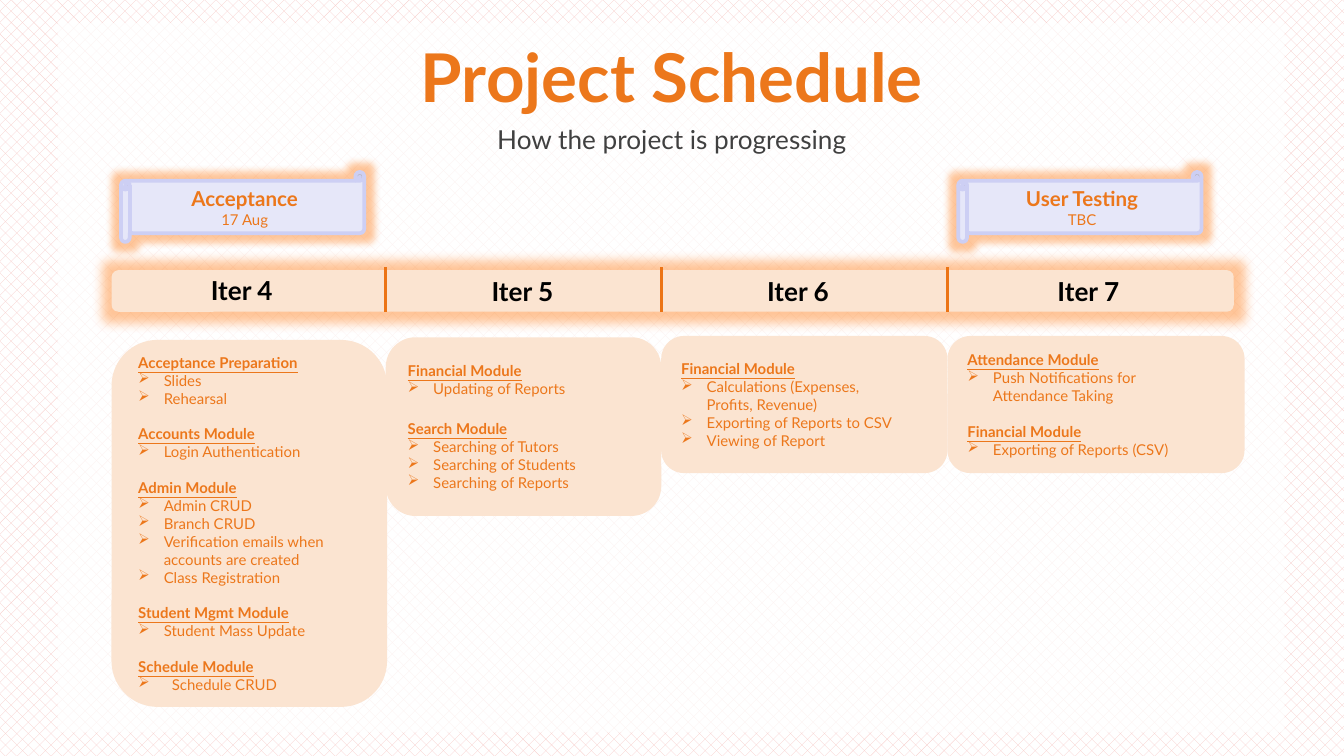
from dataclasses import dataclass

from lxml import etree
from pptx import Presentation
from pptx import util as u
from pptx.dml.color import RGBColor
from pptx.enum import dml, shapes, text
from pptx.oxml.ns import qn


@dataclass(frozen=True)
class Theme:
    font: str = "Lato"
    orange: str = "EC771B"
    divider: str = "EC7415"
    peach: str = "FBE4D1"
    glow: str = "FF7000"
    lilac: str = "E6E7F9"
    lilac_edge: str = "CDCFF4"
    grey: str = "404040"
    black: str = "000000"
    white: str = "FFFFFF"
    pattern: str = "DF2619"
    title_size: float = 36
    label_size: float = 14
    milestone_size: float = 11
    body_size: float = 8


@dataclass(frozen=True)
class Box:
    left: float
    top: float
    width: float
    height: float

    def lengths(self):
        return [u.Inches(side) for side in (self.left, self.top, self.width, self.height)]


THEME = Theme()
SLIDE = Box(0, 0, 10, 10 * 9 / 16)
BAR = Box(0.83, 2.01, 8.35, 0.31)
DIVIDERS = (2.87, 4.92, 7.05)
LABELS = (
    ("Iter 4", Box(1.47, 1.99, 0.68, 0.34)),
    ("Iter 5", Box(3.56, 2, 0.67, 0.34)),
    ("Iter 6", Box(5.61, 2, 0.67, 0.34)),
    ("Iter 7", Box(7.77, 2, 0.67, 0.34)),
)
MILESTONES = (
    ("Acceptance", "17 Aug", Box(0.9, 1.28, 1.81, 0.52)),
    ("User Testing", "TBC", Box(7.13, 1.28, 1.81, 0.52)),
)
COLUMNS = (
    (Box(0.83, 2.53, 2.05, 2.73), 9.6, (
        ("Acceptance Preparation", ("Slides", "Rehearsal")),
        ("Accounts Module", ("Login Authentication",)),
        ("Admin Module", ("Admin CRUD", "Branch CRUD",
                          "Verification emails when accounts are created",
                          "Class Registration")),
        ("Student Mgmt Module", ("Student Mass Update",)),
        ("Schedule Module", ("Schedule CRUD",)),
    )),
    (Box(2.87, 2.51, 2.05, 1.33), 12, (
        ("Financial Module", ("Updating of Reports",)),
        ("Search Module", ("Searching of Tutors", "Searching of Students",
                           "Searching of Reports")),
    )),
    (Box(4.92, 2.5, 2.13, 1.02), 9.6, (
        ("Financial Module", ("Calculations (Expenses,\nProfits, Revenue)",
                              "Exporting of Reports to CSV", "Viewing of Report")),
    )),
    (Box(7.05, 2.5, 2.21, 1.02), 9.6, (
        ("Attendance Module", ("Push Notifications for\nAttendance Taking",)),
        ("Financial Module", ("Exporting of Reports (CSV)",)),
    )),
)
WIDE_INDENTS = {"Schedule CRUD": 0.25}


def color(value):
    return RGBColor.from_string(value)


def write(frame, content, *, size, fill=THEME.orange, bold=False, underline=False,
          align=text.PP_ALIGN.LEFT, before=0, indent=0, bullet=None):
    first = frame.paragraphs[0]
    paragraph = frame.add_paragraph() if first.runs else first
    paragraph.alignment = align
    paragraph.space_before = u.Pt(before)
    properties = paragraph._p.get_or_add_pPr()
    if indent:
        properties.set("marL", str(u.Inches(indent)))
        properties.set("indent", str(-u.Inches(indent) if bullet else 0))
    if bullet:
        etree.SubElement(properties, qn("a:buChar")).set("char", bullet)
    run = paragraph.add_run()
    run.text = content
    font = run.font
    font.name, font.size = THEME.font, u.Pt(size)
    font.bold, font.underline = bold, underline
    font.color.rgb = color(fill)


def set_frame(shape, anchor=text.MSO_ANCHOR.MIDDLE, wrap=True):
    frame = shape.text_frame
    frame.word_wrap = wrap
    frame.auto_size = text.MSO_AUTO_SIZE.NONE
    frame.vertical_anchor = anchor
    return frame


def add_panel(slide, kind, box, fill, *, edge=None, opacity=None, glow=0):
    shape = slide.shapes.add_shape(kind, *box.lengths())
    shape.shadow.inherit = False
    shape.fill.solid()
    shape.fill.fore_color.rgb = color(fill)
    if edge:
        shape.line.color.rgb = color(edge)
        shape.line.width = u.Pt(2)
    else:
        shape.line.fill.background()
    properties = shape.element.spPr
    if opacity:
        add_alpha(properties.find(qn("a:solidFill"))[0], opacity)
    if glow:
        halo = etree.SubElement(properties.find(qn("a:effectLst")), qn("a:glow"))
        halo.set("rad", str(u.Pt(glow)))
        tint = etree.SubElement(halo, qn("a:srgbClr"))
        tint.set("val", THEME.glow)
        add_alpha(tint, 40)
    return shape


def add_alpha(element, percent):
    etree.SubElement(element, qn("a:alpha")).set("val", str(percent * 1000))


def add_background(slide, box):
    fill = slide.background.fill
    fill.patterned()
    fill.pattern = dml.MSO_PATTERN.from_xml("pct40")
    fill.fore_color.rgb = color(THEME.pattern)
    fill.back_color.rgb = color(THEME.white)
    inner = Box(box.left + 0.43, box.top + 0.17, 9.13, 5.28)
    for veil, opacity in ((box, 76), (inner, 70)):
        add_panel(slide, shapes.MSO_SHAPE.RECTANGLE, veil, THEME.white, opacity=opacity)


def add_heading(slide, box):
    title = slide.shapes.title
    slide.shapes.element.append(title.element)
    title.left, title.top, title.width, title.height = Box(
        box.left, box.top, box.width, 0.63).lengths()
    write(set_frame(title), "Project Schedule", size=THEME.title_size, bold=True,
          align=text.PP_ALIGN.CENTER)
    subtitle = slide.shapes.add_textbox(
        *Box(box.left, box.top + 0.63, box.width, 0.31).lengths())
    write(set_frame(subtitle), "How the project is progressing", size=THEME.label_size,
          fill=THEME.grey, align=text.PP_ALIGN.CENTER)


def add_timeline(slide, box):
    add_panel(slide, shapes.MSO_SHAPE.ROUNDED_RECTANGLE, box, THEME.peach, glow=11)
    top, bottom = u.Inches(box.top - 0.02), u.Inches(box.top + box.height)
    for position in DIVIDERS:
        x = u.Inches(position)
        line = slide.shapes.add_connector(shapes.MSO_CONNECTOR.STRAIGHT, x, top, x, bottom)
        line.line.color.rgb = color(THEME.divider)
        line.line.width = u.Pt(1.5)
        etree.SubElement(line.element.spPr, qn("a:effectLst"))
    for label, label_box in LABELS:
        shape = slide.shapes.add_textbox(*label_box.lengths())
        write(set_frame(shape, text.MSO_ANCHOR.TOP, wrap=False), label,
              size=THEME.label_size, fill=THEME.black, bold=True)


def add_column(slide, box, gap, modules):
    panel = add_panel(slide, shapes.MSO_SHAPE.ROUNDED_RECTANGLE, box, THEME.peach)
    frame = set_frame(panel)
    for index, (module, tasks) in enumerate(modules):
        write(frame, module, size=THEME.body_size, bold=True, underline=True,
              before=gap if index else 0)
        for task in tasks:
            for number, line in enumerate(task.split("\n")):
                write(frame, line, size=THEME.body_size,
                      indent=WIDE_INDENTS.get(task, 0.19), bullet=None if number else "➢")


def add_milestone(slide, box, name, date):
    scroll = add_panel(slide, shapes.MSO_SHAPE.HORIZONTAL_SCROLL, box, THEME.lilac,
                       edge=THEME.lilac_edge, glow=8)
    frame = set_frame(scroll)
    write(frame, name, size=THEME.milestone_size, bold=True, align=text.PP_ALIGN.CENTER)
    write(frame, date, size=THEME.body_size, align=text.PP_ALIGN.CENTER)


def main():
    presentation = Presentation()
    presentation.slide_width = u.Inches(SLIDE.width)
    presentation.slide_height = u.Inches(SLIDE.height)
    slide = presentation.slides.add_slide(presentation.slide_layouts[5])
    add_background(slide, SLIDE)
    add_heading(slide, Box(0, 0.25, 10, 0.94))
    add_timeline(slide, BAR)
    for box, gap, modules in COLUMNS:
        add_column(slide, box, gap, modules)
    for name, date, box in MILESTONES:
        add_milestone(slide, box, name, date)
    presentation.save("out.pptx")


if __name__ == "__main__":
    main()
